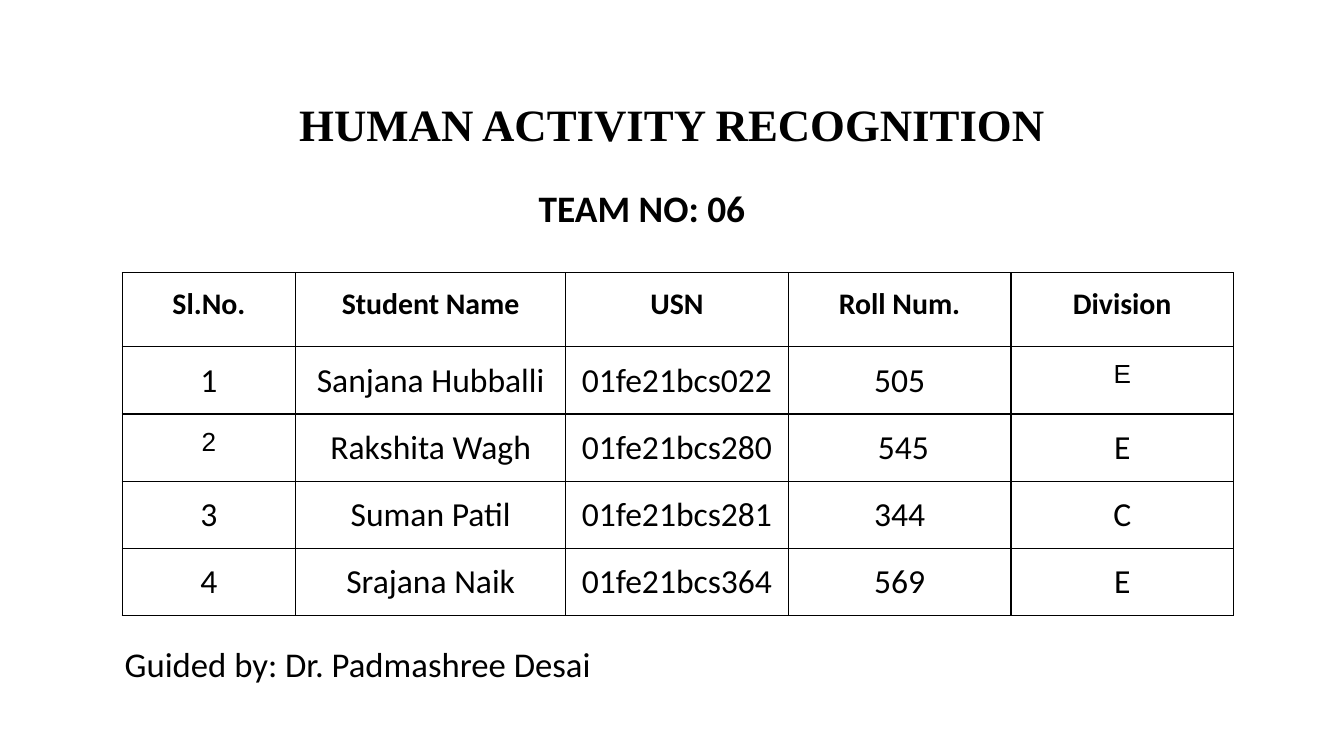
import pptx
import pptx.dml.color
import pptx.enum.text
import pptx.oxml
import pptx.oxml.ns
import pptx.util

Inches = pptx.util.Inches
Pt = pptx.util.Pt
ALIGN = pptx.enum.text.PP_ALIGN
ANCHOR = pptx.enum.text.MSO_ANCHOR
BLACK = pptx.dml.color.RGBColor(0x00, 0x00, 0x00)

PAGE_WIDTH = Inches(10)
PAGE_HEIGHT = PAGE_WIDTH * 9 // 16

TEXTS = [
    {"text": "HUMAN ACTIVITY RECOGNITION ", "at": (0.75, 0.56, 8.58, 0.72), "inset": 0.05,
     "font": {"name": "Times New Roman", "size": Pt(24), "bold": True},
     "paragraph": {"alignment": ALIGN.CENTER}, "anchor": ANCHOR.MIDDLE},
    {"text": "Guided by: Dr. Padmashree Desai", "at": (0.83, 4.79, 6.5, 0.58), "inset": 0.05,
     "font": {"name": "Calibri", "size": Pt(18.6), "bold": False},
     "paragraph": {"line_spacing": 0.8}, "anchor": ANCHOR.TOP},
    {"text": "TEAM NO: 06", "at": (3.91, 1.28, 2.26, 0.54), "inset": 0.1,
     "font": {"name": "Calibri", "size": Pt(20), "bold": True},
     "paragraph": {"alignment": ALIGN.LEFT}, "anchor": ANCHOR.TOP},
]

STUDENTS = [
    ("Sl.No.", "Student Name", "USN", "Roll Num.", "Division"),
    ("1", "Sanjana Hubballi", "01fe21bcs022", "505", "E"),
    ("2", "Rakshita Wagh", "01fe21bcs280", " 545", "E"),
    ("3", "Suman Patil", "01fe21bcs281", "344", "C"),
    ("4", "Srajana Naik", "01fe21bcs364", "569", "E"),
]
TABLE_LEFT, TABLE_TOP, TABLE_WIDTH = 0.91, 2.03, 8.27
NUMBER_WIDTH, NAME_WIDTH = 1.29, 2.01
OTHER_WIDTH = (TABLE_WIDTH - NUMBER_WIDTH - NAME_WIDTH) / 3
COLUMN_WIDTHS = [NUMBER_WIDTH, NAME_WIDTH] + [OTHER_WIDTH] * 3
HEADER_HEIGHT, ROW_HEIGHT = 0.55, 0.5
HEADER_FONT = {"name": "Calibri", "size": Pt(16), "bold": True}
BODY_FONT = {"name": "Calibri", "size": Pt(18), "bold": False}
SMALL_FONT = {"name": "Arial", "size": Pt(14), "bold": False}
SMALL_CELLS = {(1, 4), (2, 0)}


def set_values(target, values):
    for name, value in values.items():
        setattr(target, name, value)


def write(paragraph, text, font):
    span = paragraph.add_run()
    span.text = text
    set_values(span.font, font)
    span.font.color.rgb = BLACK


def add_text(page, item):
    box = page.shapes.add_textbox(*map(Inches, item["at"]))
    frame = box.text_frame
    set_values(frame, {
        "word_wrap": True, "vertical_anchor": item["anchor"],
        "margin_left": Inches(0.1), "margin_right": Inches(0.1),
        "margin_top": Inches(item["inset"]), "margin_bottom": Inches(item["inset"])})
    set_values(frame.paragraphs[0], item["paragraph"])
    write(frame.paragraphs[0], item["text"], item["font"])


def add_borders(cell):
    properties = cell._tc.get_or_add_tcPr()
    for position, side in enumerate(("lnL", "lnR", "lnT", "lnB")):
        properties.insert(position, pptx.oxml.parse_xml(
            f'<a:{side} {pptx.oxml.ns.nsdecls("a")} w="{Pt(0.75)}">'
            f'<a:solidFill><a:srgbClr val="{BLACK}"/></a:solidFill></a:{side}>'))


def add_students(page):
    heights = [HEADER_HEIGHT] + [ROW_HEIGHT] * (len(STUDENTS) - 1)
    table = page.shapes.add_table(
        len(STUDENTS), len(COLUMN_WIDTHS), Inches(TABLE_LEFT), Inches(TABLE_TOP),
        Inches(TABLE_WIDTH), Inches(sum(heights))).table
    set_values(table, {"first_row": False, "horz_banding": False})
    for column, width in zip(table.columns, COLUMN_WIDTHS):
        column.width = Inches(width)
    for row, height in zip(table.rows, heights):
        row.height = Inches(height)
    for r, student in enumerate(STUDENTS):
        for c, text in enumerate(student):
            cell = table.cell(r, c)
            cell.fill.background()
            for side in ("left", "right", "top", "bottom"):
                setattr(cell, f"margin_{side}", Inches(0.1))
            add_borders(cell)
            font = SMALL_FONT if (r, c) in SMALL_CELLS else BODY_FONT if r else HEADER_FONT
            paragraph = cell.text_frame.paragraphs[0]
            paragraph.alignment = ALIGN.CENTER
            write(paragraph, text, font)


def main():
    deck = pptx.Presentation()
    set_values(deck, {"slide_width": PAGE_WIDTH, "slide_height": PAGE_HEIGHT})
    page = deck.slides.add_slide(deck.slide_layouts[6])
    title, guide, team = TEXTS
    add_text(page, title)
    add_text(page, guide)
    add_students(page)
    add_text(page, team)
    deck.save("out.pptx")


if __name__ == "__main__":
    main()
